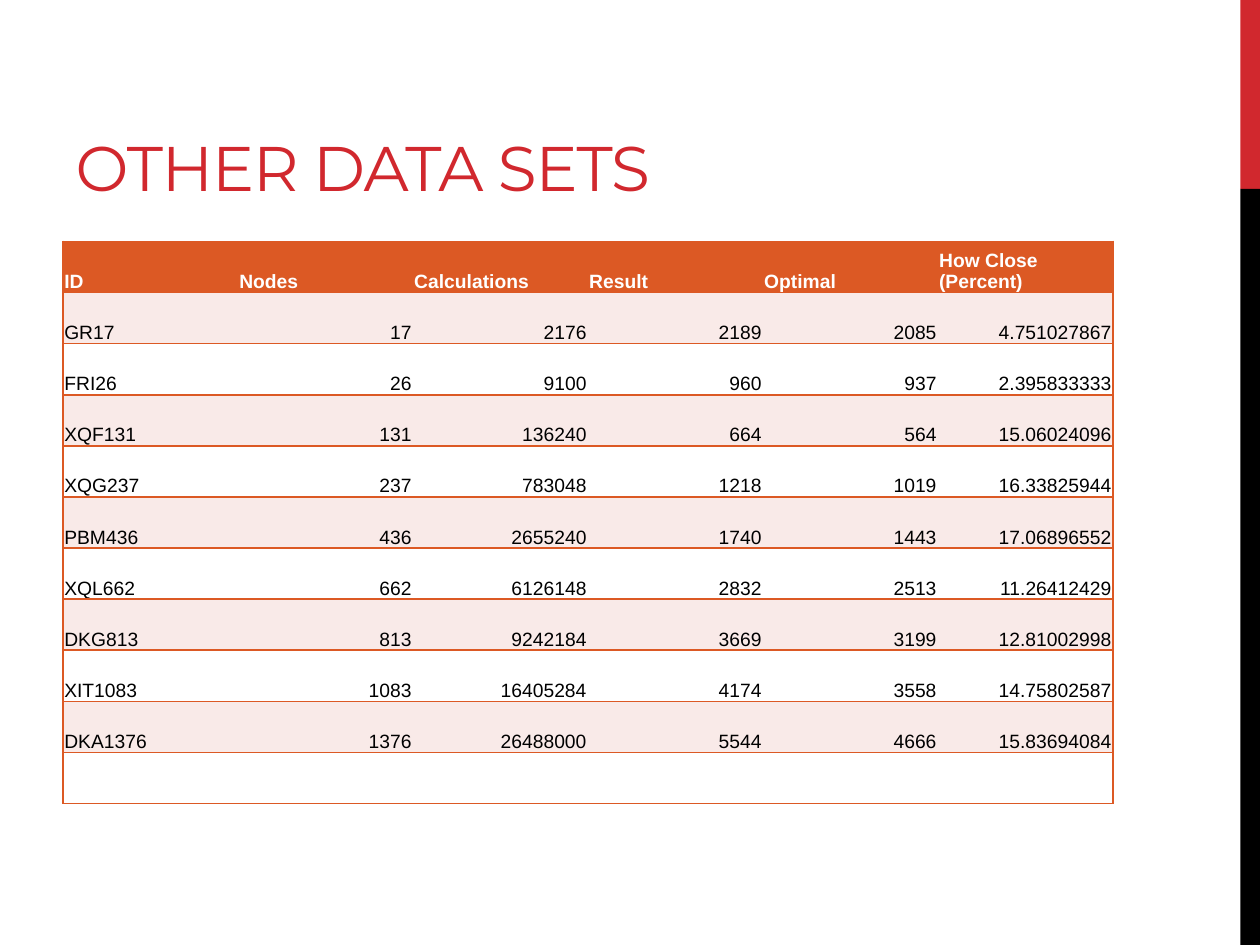
from lxml.etree import SubElement
from pptx import Presentation
from pptx.dml.color import RGBColor
from pptx.enum.shapes import MSO_SHAPE
from pptx.enum.text import MSO_ANCHOR, PP_ALIGN
from pptx.oxml.ns import qn
from pptx.util import Pt

# Content
TITLE = "OTHER DATA SETS"
HEADERS = ["ID", "Nodes", "Calculations", "Result", "Optimal", "How Close (Percent)"]
DATA_SETS = [
    ("GR17", "17", "2176", "2189", "2085", "4.751027867"),
    ("FRI26", "26", "9100", "960", "937", "2.395833333"),
    ("XQF131", "131", "136240", "664", "564", "15.06024096"),
    ("XQG237", "237", "783048", "1218", "1019", "16.33825944"),
    ("PBM436", "436", "2655240", "1740", "1443", "17.06896552"),
    ("XQL662", "662", "6126148", "2832", "2513", "11.26412429"),
    ("DKG813", "813", "9242184", "3669", "3199", "12.81002998"),
    ("XIT1083", "1083", "16405284", "4174", "3558", "14.75802587"),
    ("DKA1376", "1376", "26488000", "5544", "4666", "15.83694084"),
]
EMPTY_ROW = ("",) * len(HEADERS)

# Colours
RED = RGBColor(0xD1, 0x28, 0x2E)
ORANGE = RGBColor(0xDC, 0x59, 0x24)
PINK = RGBColor(0xF9, 0xEA, 0xE8)
BLACK = RGBColor(0, 0, 0)
WHITE = RGBColor(0xFF, 0xFF, 0xFF)

# Layout in points
SLIDE_WIDTH, SLIDE_HEIGHT = 720, 540
BAR_LEFT, BAR_SPLIT = 708.75, 108
COLUMN_WIDTH, ROW_HEIGHT = 100, 29.2


def add_bar(slide, top, bottom, color):
    bar = slide.shapes.add_shape(MSO_SHAPE.RECTANGLE, Pt(BAR_LEFT), Pt(top),
                                 Pt(SLIDE_WIDTH - BAR_LEFT), Pt(bottom - top))
    bar.shadow.inherit = False
    bar.fill.solid()
    bar.fill.fore_color.rgb = color
    bar.line.fill.background()


def add_run(paragraph, text, font_name, size, color, bold=False):
    run = paragraph.add_run()
    run.text = text
    run.font.name = font_name
    run.font.size = Pt(size)
    run.font.color.rgb = color
    run.font.bold = bold
    return run


def set_borders(cell, visible_sides):
    properties = cell._tc.get_or_add_tcPr()
    for side in "LRTB":
        border = SubElement(properties, qn(f"a:ln{side}"), w=str(Pt(1)))
        if side in visible_sides:
            fill = SubElement(border, qn("a:solidFill"))
            SubElement(fill, qn("a:srgbClr"), val=str(ORANGE))
        else:
            SubElement(border, qn("a:noFill"))


def format_cell(cell, text, row, column):
    is_header = row == 0
    cell.vertical_anchor = MSO_ANCHOR.BOTTOM
    cell.margin_left = cell.margin_right = cell.margin_top = Pt(0.75)
    cell.margin_bottom = Pt(0)
    outer_side = {0: "L", len(HEADERS) - 1: "R"}.get(column, "")
    set_borders(cell, "TB" + outer_side)
    cell.fill.solid()
    cell.fill.fore_color.rgb = ORANGE if is_header else PINK if row % 2 else WHITE
    if text:
        paragraph = cell.text_frame.paragraphs[0]
        paragraph.alignment = PP_ALIGN.LEFT if is_header or column == 0 else PP_ALIGN.RIGHT
        add_run(paragraph, text, "Arial", 11, WHITE if is_header else BLACK, is_header)


prs = Presentation()
prs.slide_width, prs.slide_height = Pt(SLIDE_WIDTH), Pt(SLIDE_HEIGHT)
slide = prs.slides.add_slide(prs.slide_layouts[5])

# Side bars
add_bar(slide, 0, BAR_SPLIT, RED)
add_bar(slide, BAR_SPLIT, SLIDE_HEIGHT, BLACK)

# Title
title = slide.shapes.title
title.left, title.top, title.width, title.height = Pt(36), Pt(12), Pt(456), Pt(108)
title.text_frame.vertical_anchor = MSO_ANCHOR.BOTTOM
heading = title.text_frame.paragraphs[0]
heading.alignment = PP_ALIGN.LEFT
title_run = add_run(heading, TITLE, "Montserrat", 36, RED)
title_run.font._element.set("spc", "-60")

# Results table
rows = [HEADERS, *DATA_SETS, EMPTY_ROW]
table = slide.shapes.add_table(len(rows), len(HEADERS), Pt(36), Pt(138),
                               Pt(COLUMN_WIDTH * len(HEADERS)),
                               Pt(ROW_HEIGHT * len(rows))).table
for table_column in table.columns:
    table_column.width = Pt(COLUMN_WIDTH)
for row, values in enumerate(rows):
    table.rows[row].height = Pt(ROW_HEIGHT)
    for column, text in enumerate(values):
        format_cell(table.cell(row, column), text, row, column)

prs.save("out.pptx")
